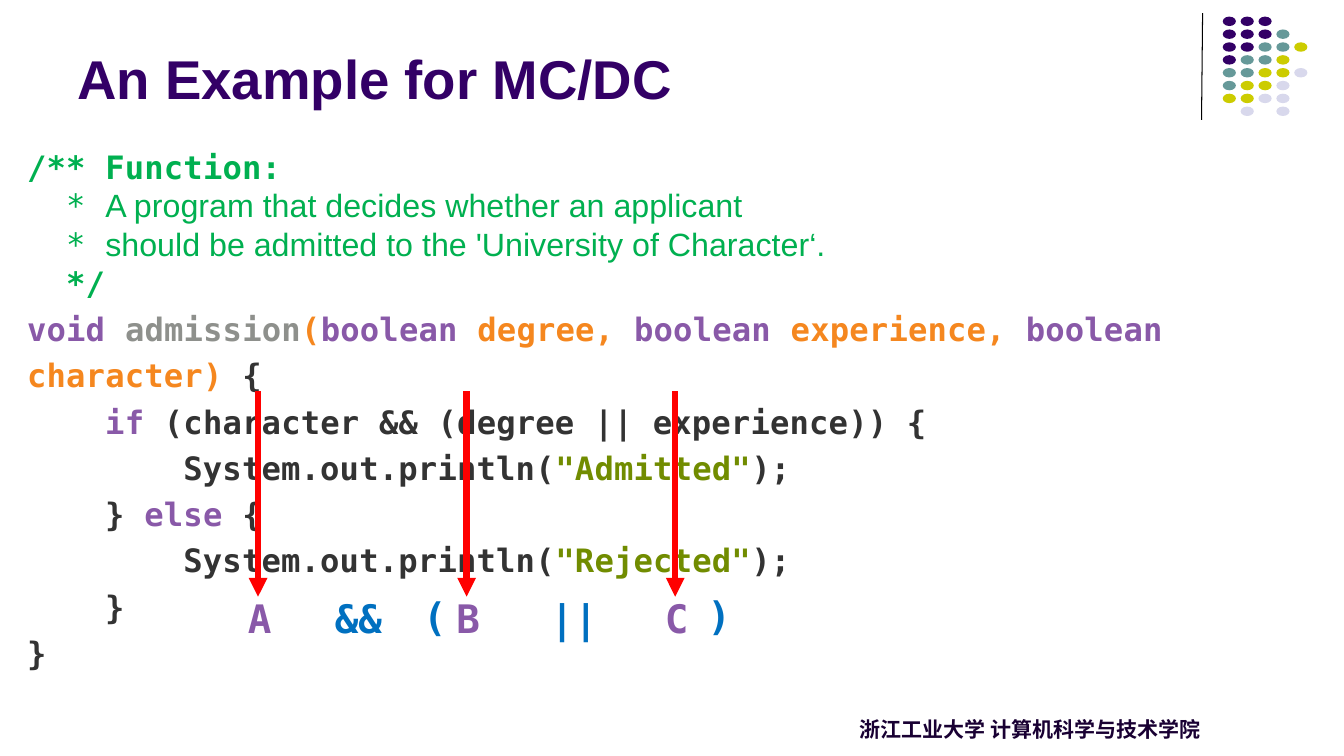
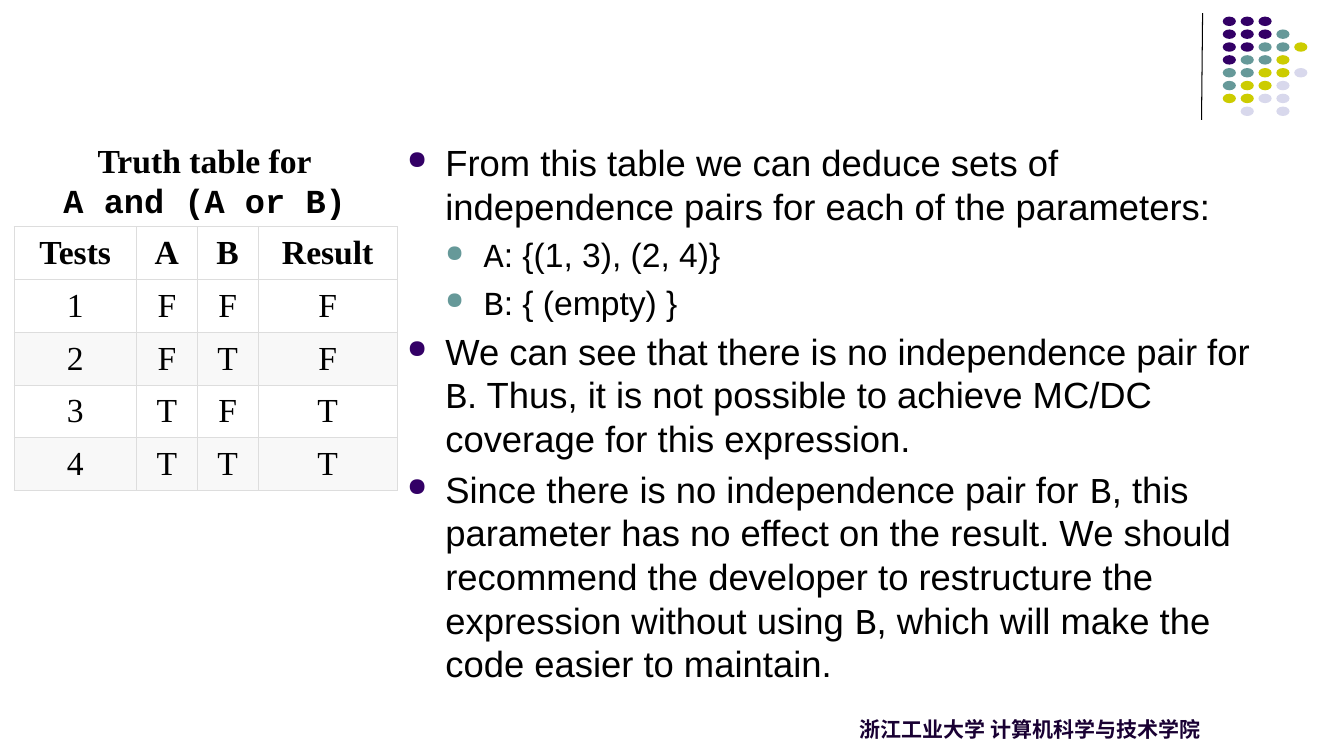
"""Build two slides on MC/DC coverage: a code example and a truth table."""
from lxml.etree import SubElement
from pptx import Presentation
from pptx.dml.color import RGBColor
from pptx.enum.shapes import MSO_CONNECTOR, MSO_SHAPE
from pptx.enum.text import MSO_ANCHOR, MSO_AUTO_SIZE, PP_ALIGN
from pptx.oxml.ns import qn
from pptx.util import Emu, Inches, Pt

STRAIGHT = MSO_CONNECTOR.STRAIGHT
ELLIPSE = MSO_SHAPE.OVAL
LEFT, CENTER = PP_ALIGN.LEFT, PP_ALIGN.CENTER
MIDDLE, BOTTOM = MSO_ANCHOR.MIDDLE, MSO_ANCHOR.BOTTOM
NO_FIT = MSO_AUTO_SIZE.NONE
colour = RGBColor.from_string

SANS, SERIF, COURIER = "Arial", "Times New Roman", "Courier New"
MONO, CHINESE = "DejaVu Sans Mono", "Noto Sans CJK SC"
INDIGO, TEAL, OLIVE, LILAC = "330066", "669999", "CCCC00", "D8D8EC"
BLACK, WHITE, NAVY, RED = "000000", "FFFFFF", "190033", "FF0000"
GREEN, PURPLE, ORANGE, BLUE = "00B050", "8959A8", "F5871F", "0070C0"
GREY, DARK, STRING = "8E908C", "333333", "718C00"
BORDER, BAND = "DDDDDD", "F8F8F8"

deck = Presentation()
deck.slide_width, deck.slide_height = Inches(13.33), Inches(7.5)


def place(*shares):
    """Turn alternating horizontal and vertical percentages into lengths."""
    sides = (deck.slide_width, deck.slide_height)
    return [Emu(round(share * sides[i % 2] / 100)) for i, share in enumerate(shares)]


def write(para, text, size, font, ink, bold=False):
    """Add one formatted run to a paragraph."""
    span = para.add_run()
    span.text = text
    span.font.size, span.font.name, span.font.bold = Pt(size), font, bold
    span.font.color.rgb = colour(ink)
    properties = span._r.get_or_add_rPr()
    SubElement(properties, qn("a:ea"), typeface=font)
    if font == MONO:
        properties.set("spc", "10")


code_page = deck.slides.add_slide(deck.slide_layouts[5])
table_page = deck.slides.add_slide(deck.slide_layouts[6])

DOT_ROWS = ["PPP", "PPPT", "PPTTY", "PTTY", "TTYYL", "TYYL", "YYLL", " L L"]
DOT_INKS = {"P": INDIGO, "T": TEAL, "Y": OLIVE, "L": LILAC}
for page in (code_page, table_page):
    rule = page.shapes.add_connector(STRAIGHT, *place(89.48, 1.73, 89.4, 15.87))
    rule.line.color.rgb, rule.line.width = colour(BLACK), Pt(0.75)
    SubElement(rule._element.spPr, qn("a:effectLst"))
    for row, letters in enumerate(DOT_ROWS):
        for column, letter in enumerate(letters):
            if letter in DOT_INKS:
                area = place(90.98 + 1.33 * column, 2.2 + 1.7 * row, 0.98, 1.25)
                dot = page.shapes.add_shape(ELLIPSE, *area)
                dot.shadow.inherit = False
                dot.fill.solid()
                dot.fill.fore_color.rgb = colour(DOT_INKS[letter])
                dot.line.fill.background()
    footer = page.shapes.add_textbox(*place(63.23, 94.13, 27.15, 4.67)).text_frame
    footer.word_wrap = False
    write(footer.paragraphs[0], "浙江工业大学 计算机科学与技术学院", 15, CHINESE, NAVY, True)

title = code_page.shapes.title
title.left, title.top, title.width, title.height = place(5, 1.73, 83.6, 13.6)
title.text_frame.vertical_anchor = BOTTOM
title.text_frame.auto_size = NO_FIT
title.text_frame.paragraphs[0].alignment = LEFT
write(title.text_frame.paragraphs[0], "An Example for MC/DC", 39, SANS, INDIGO, True)

COMMENT_LINES = [
    (0, [("/** Function:", MONO, True)]),
    (2, [("* ", MONO, False), ("A program that decides whether an applicant", SANS, False)]),
    (2, [("* ", MONO, False),
         ("should be admitted to the 'University of Character‘.", SANS, False)]),
    (2, [("*/", MONO, True)]),
]
CODE_LINES = [
    (0, [("void ", PURPLE), ("admission", GREY), ("(", ORANGE), ("boolean", PURPLE),
         (" degree, ", ORANGE), ("boolean", PURPLE), (" experience, ", ORANGE),
         ("boolean", PURPLE), (" character) ", ORANGE), ("{", DARK)]),
    (4, [("if", PURPLE), (" (character && (degree || experience)) {", DARK)]),
    (8, [("System.out.println(", DARK), ('"Admitted"', STRING), (");", DARK)]),
    (4, [("} ", DARK), ("else", PURPLE), (" {", DARK)]),
    (8, [("System.out.println(", DARK), ('"Rejected"', STRING), (");", DARK)]),
    (4, [("}", DARK)]),
    (0, [("}", DARK)]),
]
CHARACTER = Pt(13.95)
code = code_page.shapes.add_textbox(*place(1.28, 18.8, 98.7, 64.93)).text_frame
code.word_wrap = True
for number, (indent, spans) in enumerate(COMMENT_LINES + CODE_LINES):
    para = code.add_paragraph() if number else code.paragraphs[0]
    para._p.get_or_add_pPr().set("marL", str(indent * CHARACTER))
    if number < len(COMMENT_LINES):
        for text, font, bold in spans:
            write(para, text, 23, font, GREEN, bold)
    else:
        para.line_spacing = 1.2
        for text, ink in spans:
            write(para, text, 23, MONO, ink, True)

OPERATORS = [("&&", 24.08, 78), ("||", 40.13, 78), ("(", 29.78, 77.73), (")", 50.93, 77.6)]
CONDITIONS = [(name, 17.7 + 15.52 * i, 78) for i, name in enumerate("ABC")]
for text, left, top in OPERATORS + CONDITIONS:
    is_condition = text in "ABC"
    if is_condition:
        ends = place(left + 1.5, 51.73, left + 1.5, 78.93)
        arrow = code_page.shapes.add_connector(STRAIGHT, *ends)
        arrow.line.color.rgb, arrow.line.width = colour(RED), Pt(4.5)
        SubElement(arrow._element.spPr.find(qn("a:ln")), qn("a:tailEnd"), type="triangle")
        SubElement(arrow._element.spPr, qn("a:effectLst"))
    area = place(left, top, 3.9 if is_condition else 5.18, 7.6)
    label = code_page.shapes.add_textbox(*area).text_frame
    label.word_wrap = True
    label.paragraphs[0].alignment = LEFT if is_condition else CENTER
    write(label.paragraphs[0], text, 28, MONO, PURPLE if is_condition else BLUE, True)

TRUTH_ROWS = [["Tests", "A", "B", "Result"], "1FFF", "2FTF", "3TFT", "4TTT"]
COLUMN_SHARES = [9.1, 4.53, 4.53, 10.36]
frame = table_page.shapes.add_table(5, 4, *place(1.05, 30, 28.52, 34.93))
truth_table = frame.table
truth_table.first_row = truth_table.horz_banding = False
for column, share in zip(truth_table.columns, COLUMN_SHARES):
    column.width = place(share)[0]
for row, values in enumerate(TRUTH_ROWS):
    for column, value in enumerate(values):
        cell = truth_table.cell(row, column)
        cell.margin_left = cell.margin_right = Inches(0.14)
        cell.margin_top = cell.margin_bottom = Inches(0.06)
        cell.vertical_anchor = MIDDLE
        for side in ("lnL", "lnR", "lnT", "lnB"):
            edge = SubElement(cell._tc.get_or_add_tcPr(), qn("a:" + side), w=str(Pt(0.75)))
            SubElement(SubElement(edge, qn("a:solidFill")), qn("a:srgbClr"), val=BORDER)
        cell.fill.solid()
        cell.fill.fore_color.rgb = colour(BAND if row in (2, 4) else WHITE)
        para = cell.text_frame.paragraphs[0]
        para.alignment = CENTER
        write(para, value, 24, SERIF, BLACK, row == 0)

caption = table_page.shapes.add_textbox(*place(3.9, 17.87, 22.65, 12.13)).text_frame
caption.word_wrap = False
for para, text, font in (
    (caption.paragraphs[0], "Truth table for", SERIF),
    (caption.add_paragraph(), "A and (A or B)", COURIER),
):
    para.alignment = CENTER
    write(para, text, 24, font, BLACK, True)

FINDINGS = [
    (0, ["From this table we can deduce sets of independence pairs for each of the parameters:"]),
    (1, ["A", ": {(1, 3), (2, 4)}"]),
    (1, ["B", ": { (empty) }"]),
    (0, ["We can see that there is no independence pair for ", "B",
         ". Thus, it is not possible to achieve MC/DC coverage for this expression."]),
    (0, ["Since there is no independence pair for ", "B",
         ", this parameter has no effect on the result. We should recommend the developer"
         " to restructure the expression without using ", "B",
         ", which will make the code easier to maintain."]),
]
HANGING = Inches(0.38)
findings = table_page.shapes.add_textbox(*place(29.55, 17.87, 66.53, 75.87)).text_frame
findings.word_wrap = True
for number, (level, texts) in enumerate(FINDINGS):
    para = findings.add_paragraph() if number else findings.paragraphs[0]
    para.level = level
    para.space_before = Pt(5)
    properties = para._p.get_or_add_pPr()
    properties.set("marL", str(HANGING * (level + 1)))
    properties.set("indent", str(-HANGING))
    bullet_ink = SubElement(properties, qn("a:buClr"))
    SubElement(bullet_ink, qn("a:srgbClr"), val=TEAL if level else INDIGO)
    SubElement(properties, qn("a:buSzPct"), val="70000")
    SubElement(properties, qn("a:buChar"), char="●")
    for text in texts:
        write(para, text, 24 if level else 26, COURIER if text in "AB" else SANS, BLACK)

deck.save("out.pptx")
